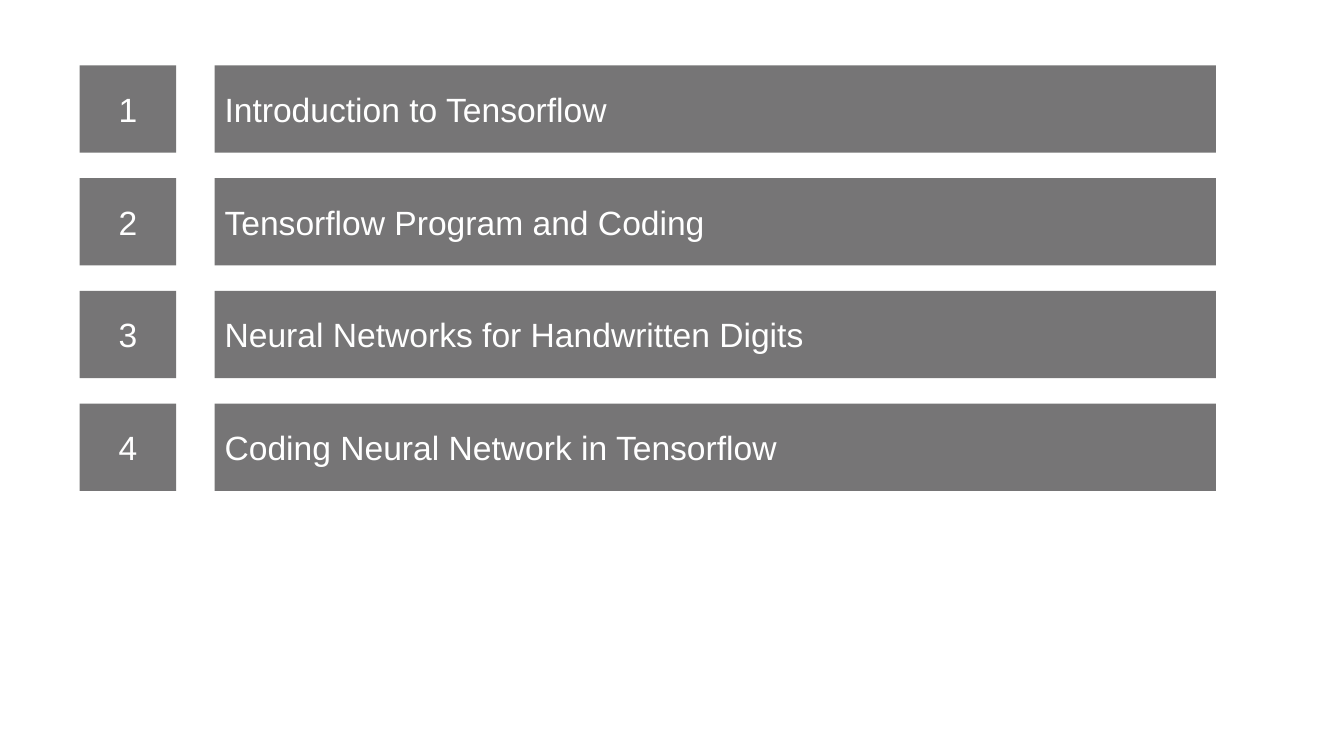
import pptx
import pptx.dml.color
import pptx.enum.shapes
import pptx.enum.text
import pptx.util

Cm = pptx.util.Cm
ALIGN = pptx.enum.text.PP_ALIGN
COLORS = {"bar": "767576", "text": "FFFFFF"}
TOPICS = [
    "Introduction to Tensorflow",
    "Tensorflow Program and Coding",
    "Neural Networks for Handwritten Digits",
    "Coding Neural Network in Tensorflow",
]
TOP, HEIGHT, PITCH = 1.65, 2.2, 2.84


class Deck:
    """Hold the text style and the slide being built."""

    def __init__(self, prs, font="Arial", size=24):
        self.s = prs.slides.add_slide(prs.slide_layouts[6])
        self.font = font
        self.size = pptx.util.Pt(size)

    def color(self, name):
        """Return a named colour."""
        return pptx.dml.color.RGBColor.from_string(COLORS[name])

    def box(self, left, top, width, height, text, align):
        """Add a filled rectangle with one line of text."""
        sp = self.s.shapes.add_shape(
            pptx.enum.shapes.MSO_SHAPE.RECTANGLE,
            Cm(left), Cm(top), Cm(width), Cm(height))
        sp.shadow.inherit = False
        sp.fill.solid()
        sp.fill.fore_color.rgb = self.color("bar")
        sp.line.fill.background()
        tf = sp.text_frame
        tf.word_wrap = True
        tf.vertical_anchor = pptx.enum.text.MSO_ANCHOR.MIDDLE
        p = tf.paragraphs[0]
        p.alignment = align
        r = p.add_run()
        r.text = text
        r.font.name = self.font
        r.font.size = self.size
        r.font.color.rgb = self.color("text")


def main():
    """Build the agenda slide."""
    prs = pptx.Presentation()
    prs.slide_width, prs.slide_height = Cm(33.87), Cm(19.05)
    deck = Deck(prs)
    for i, topic in enumerate(TOPICS):
        top = TOP + i * PITCH
        deck.box(2.01, top, 2.43, HEIGHT, str(i + 1), ALIGN.CENTER)
        deck.box(5.41, top, 25.23, HEIGHT, topic, ALIGN.LEFT)
    prs.save("out.pptx")


if __name__ == "__main__":
    main()
